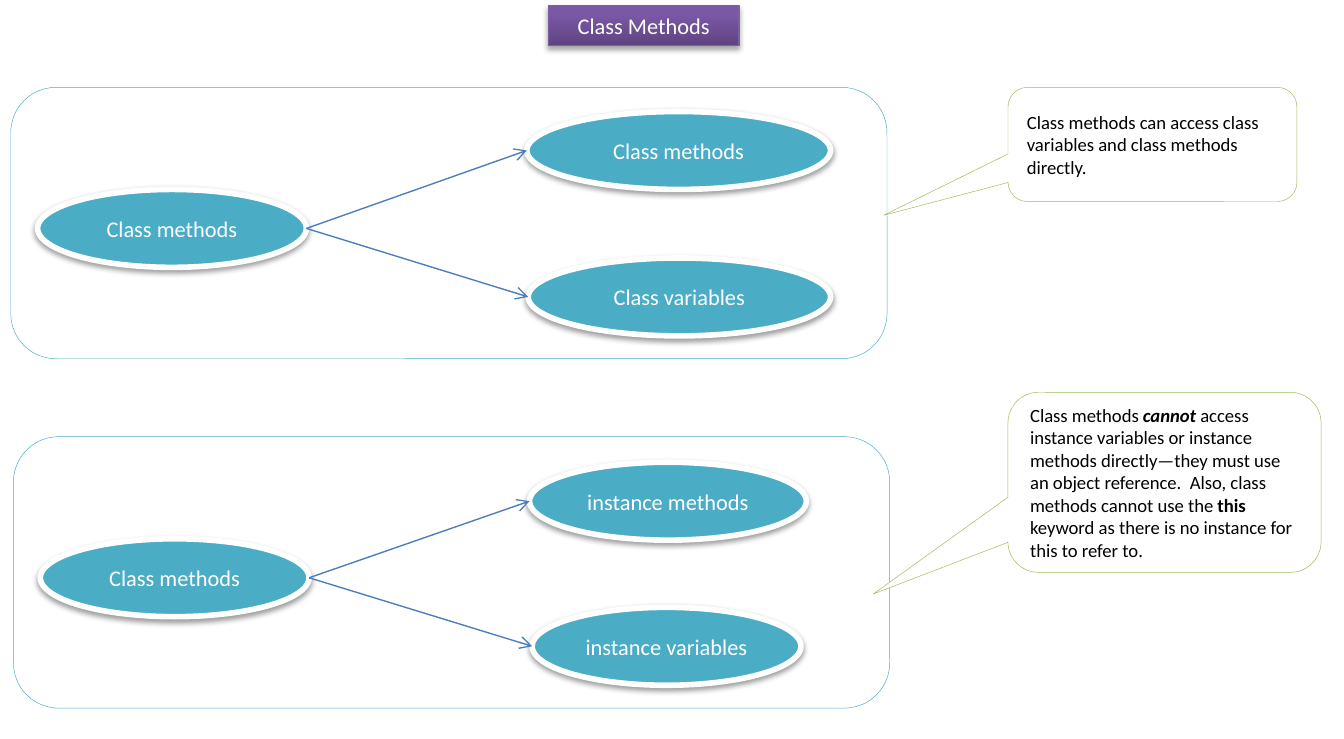
from dataclasses import dataclass

from lxml import etree
from pptx import Presentation
from pptx.dml.color import RGBColor
from pptx.enum.shapes import MSO_CONNECTOR, MSO_SHAPE
from pptx.enum.text import MSO_ANCHOR, MSO_AUTO_SIZE, PP_ALIGN
from pptx.oxml.ns import qn
from pptx.shapes.autoshape import Shape
from pptx.slide import Slide
from pptx.util import Inches, Pt

OVAL = MSO_SHAPE.OVAL
ROUND = MSO_SHAPE.ROUNDED_RECTANGLE
CALLOUT = MSO_SHAPE.ROUNDED_RECTANGULAR_CALLOUT
STRAIGHT = MSO_CONNECTOR.STRAIGHT
TOP, MIDDLE = MSO_ANCHOR.TOP, MSO_ANCHOR.MIDDLE
CENTER, LEFT = PP_ALIGN.CENTER, PP_ALIGN.LEFT
NO_FIT = MSO_AUTO_SIZE.NONE

WHITE = RGBColor(0xFF, 0xFF, 0xFF)
BLACK = RGBColor(0x00, 0x00, 0x00)
TEAL = RGBColor(0x4B, 0xAC, 0xC6)
GREEN = RGBColor(0x9B, 0xBB, 0x59)
BLUE = RGBColor(0x4B, 0x7E, 0xBC)
PURPLE = RGBColor(0x7D, 0x60, 0xA0)
DARK = RGBColor(0x5F, 0x44, 0x80)
LIGHT = RGBColor(0x7B, 0x58, 0xA6)
FONT = "Calibri"


@dataclass
class Box:
    x: float
    y: float
    w: float
    h: float

    @property
    def mid(self) -> float:
        return self.y + self.h / 2


@dataclass
class Piece:
    text: str
    bold: bool = False
    italic: bool = False


@dataclass
class Group:
    frame: Box
    source: Box
    targets: list[tuple[str, Box]]


@dataclass
class Note:
    box: Box
    pieces: list[Piece]


def add_shape(slide: Slide, kind: int, box: Box, fill: RGBColor,
              line: RGBColor, width: float) -> Shape:
    shape = slide.shapes.add_shape(
        kind, Inches(box.x), Inches(box.y), Inches(box.w), Inches(box.h))
    shape.shadow.inherit = False
    shape.fill.solid()
    shape.fill.fore_color.rgb = fill
    shape.line.color.rgb = line
    shape.line.width = Pt(width)
    return shape


def add_shadow(shape: Shape, alpha: int, dist: float) -> None:
    shape.shadow.inherit = False
    effects = shape.element.spPr.find(qn("a:effectLst"))
    outer = etree.SubElement(
        effects, qn("a:outerShdw"), blurRad=str(Pt(3.1)), dist=str(Pt(dist)),
        dir="5400000", rotWithShape="0")
    color = etree.SubElement(outer, qn("a:srgbClr"), val=str(BLACK))
    etree.SubElement(color, qn("a:alpha"), val=str(alpha * 1000))


def set_text(shape: Shape, pieces: list[Piece], size: int, color: RGBColor,
             align: PP_ALIGN, anchor: MSO_ANCHOR, wrap: bool) -> None:
    frame = shape.text_frame
    frame.word_wrap = wrap
    frame.auto_size = NO_FIT
    frame.vertical_anchor = anchor
    para = frame.paragraphs[0]
    para.alignment = align
    for piece in pieces:
        run = para.add_run()
        run.text = piece.text
        font = run.font
        font.name, font.size = FONT, Pt(size)
        font.color.rgb = color
        font.bold, font.italic = piece.bold, piece.italic


def add_title(slide: Slide, text: str, box: Box) -> None:
    title = slide.shapes.title
    title.left, title.top = Inches(box.x), Inches(box.y)
    title.width, title.height = Inches(box.w), Inches(box.h)
    title.fill.gradient()
    title.fill.gradient_angle = 90
    for stop, color, place in zip(title.fill.gradient_stops, (DARK, LIGHT), (0, 0.8)):
        stop.color.rgb = color
        stop.position = place
    title.line.color.rgb = PURPLE
    title.line.width = Pt(0.75)
    add_shadow(title, 35, 1.8)
    set_text(title, [Piece(text)], 12, WHITE, CENTER, TOP, False)


def add_oval(slide: Slide, text: str, box: Box) -> None:
    oval = add_shape(slide, OVAL, box, TEAL, WHITE, 3)
    add_shadow(oval, 38, 1.6)
    set_text(oval, [Piece(text)], 12, WHITE, CENTER, MIDDLE, False)


def add_arrow(slide: Slide, start: Box, end: Box) -> None:
    arrow = slide.shapes.add_connector(
        STRAIGHT, Inches(start.x + start.w), Inches(start.mid),
        Inches(end.x), Inches(end.mid))
    arrow.line.color.rgb = BLUE
    arrow.line.width = Pt(0.75)
    etree.SubElement(arrow.get_or_add_ln(), qn("a:tailEnd"), type="arrow")
    etree.SubElement(arrow.element.spPr, qn("a:effectLst"))


def add_group(slide: Slide, group: Group) -> None:
    add_shape(slide, ROUND, group.frame, WHITE, TEAL, 0.25)
    add_oval(slide, "Class methods", group.source)
    for text, box in group.targets:
        add_oval(slide, text, box)
    for _, box in group.targets:
        add_arrow(slide, group.source, box)


def add_note(slide: Slide, note: Note) -> None:
    shape = add_shape(slide, CALLOUT, note.box, WHITE, GREEN, 0.25)
    for i, value in enumerate((-0.93, 0.62, 0.17)):
        shape.adjustments[i] = value
    set_text(shape, note.pieces, 10, BLACK, LEFT, MIDDLE, True)


GROUPS = [
    Group(Box(0.08, 0.65, 6.52, 2.02), Box(0.28, 1.41, 2, 0.58), [
        ("Class methods", Box(3.92, 0.83, 2.26, 0.58)),
        ("Class variables", Box(3.93, 1.92, 2.25, 0.58)),
    ]),
    Group(Box(0.1, 3.25, 6.52, 2.02), Box(0.3, 4.01, 2, 0.58), [
        ("instance methods", Box(3.94, 3.44, 2.06, 0.58)),
        ("instance variables", Box(3.96, 4.52, 2, 0.58)),
    ]),
]

NOTES = [
    Note(Box(7.5, 0.65, 2.15, 0.85), [
        Piece("Class methods can access class variables and class methods directly."),
    ]),
    Note(Box(7.5, 2.92, 2.33, 1.34), [
        Piece("Class methods "),
        Piece("cannot", True, True),
        Piece(" access instance variables or instance methods directly—they must "
              "use an object reference.  Also, class methods cannot use the "),
        Piece("this", True),
        Piece(" keyword as there is no instance for this to refer to."),
    ]),
]


def main() -> None:
    deck = Presentation()
    deck.slide_width, deck.slide_height = Inches(10), Inches(5.5)
    slide = deck.slides.add_slide(deck.slide_layouts[5])
    add_title(slide, "Class Methods", Box(4.08, 0.04, 1.42, 0.3))
    for group in GROUPS:
        add_group(slide, group)
    for note in NOTES:
        add_note(slide, note)
    deck.save("out.pptx")


if __name__ == "__main__":
    main()
